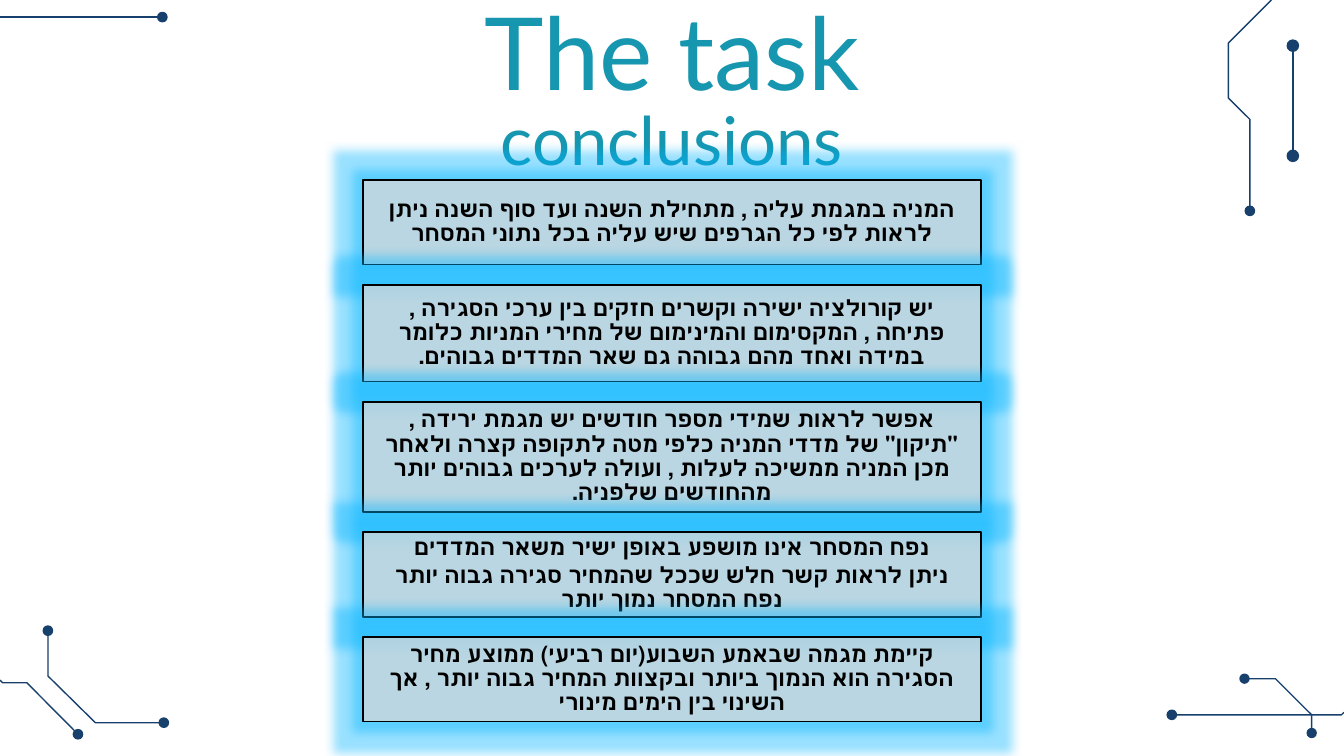
from dataclasses import dataclass
from lxml.etree import SubElement
from pptx import Presentation
from pptx.dml.color import RGBColor
from pptx.enum.shapes import MSO_CONNECTOR, MSO_SHAPE
from pptx.enum.text import MSO_ANCHOR, MSO_AUTO_SIZE, PP_ALIGN
from pptx.oxml.ns import qn
from pptx.util import Pt


@dataclass(frozen=True)
class Theme:
    font: str = "Lato"
    trace: str = "17406D"
    head: str = "1696AF"
    card: str = "D9D9D9"
    ink: str = "000000"
    glow: str = "00B4FF"
    big: float = 54
    mid: float = 36
    small: float = 12
    line: float = 0.75


def apply(item, form):
    for name, value in form.items():
        setattr(item, name, value)


def fade(tone, alpha):
    SubElement(tone, qn("a:alpha"), val=str(alpha * 1000))


class Board:
    def __init__(self, slide, theme):
        self.shapes = slide.shapes
        self.theme = theme

    def stroke(self, line, color):
        line.color.rgb = RGBColor.from_string(color)
        line.width = Pt(self.theme.line)

    def paint(self, shape, color):
        shape.shadow.inherit = False
        shape.fill.solid()
        shape.fill.fore_color.rgb = RGBColor.from_string(color)

    def letter(self, frame, lines, size, color, bold=False, form=None):
        apply(frame, {"word_wrap": True, "auto_size": MSO_AUTO_SIZE.NONE,
                      "vertical_anchor": MSO_ANCHOR.MIDDLE})
        for at, text in enumerate(lines):
            par = frame.add_paragraph() if at else frame.paragraphs[0]
            apply(par, {"alignment": PP_ALIGN.CENTER, **(form or {})})
            run = par.add_run()
            run.text = text
            apply(run.font, {"name": self.theme.font, "size": Pt(size), "bold": bold})
            run.font.color.rgb = RGBColor.from_string(color)

    def heading(self, shape, text, top, size):
        apply(shape, {"left": Pt(0), "top": Pt(top), "width": Pt(720), "height": Pt(45.4)})
        sides = ("left", "top", "right", "bottom")
        apply(shape.text_frame, {f"margin_{side}": Pt(7.2) for side in sides})
        self.letter(shape.text_frame, [text], size, self.theme.head)

    def title(self, text, top):
        self.heading(self.shapes.title, text, top, self.theme.big)

    def label(self, text, top):
        box = self.shapes.add_textbox(Pt(0), Pt(top), Pt(720), Pt(45.4))
        self.heading(box, text, top, self.theme.mid)

    def trace(self, points):
        spots = [(Pt(x), Pt(y)) for x, y in points]
        if len(spots) == 2:
            wire = self.shapes.add_connector(MSO_CONNECTOR.STRAIGHT, *spots[0], *spots[1])
            SubElement(wire._element.spPr, qn("a:effectLst"))
        else:
            route = self.shapes.build_freeform(*spots[0])
            route.add_line_segments(spots[1:], close=False)
            wire = route.convert_to_shape()
            wire.shadow.inherit = False
            wire.fill.background()
        self.stroke(wire.line, self.theme.trace)

    def dot(self, x, y, size):
        dot = self.shapes.add_shape(MSO_SHAPE.OVAL, Pt(x - size / 2), Pt(y - size / 2),
                                    Pt(size), Pt(size))
        self.paint(dot, self.theme.trace)
        self.stroke(dot.line, self.theme.trace)

    def card(self, lines, top, height):
        theme = self.theme
        card = self.shapes.add_shape(MSO_SHAPE.RECTANGLE, Pt(194.4), Pt(top), Pt(331.2), Pt(height))
        self.paint(card, theme.card)
        self.stroke(card.line, theme.ink)
        props = card._element.spPr
        fade(props.find(qn("a:solidFill")).find(qn("a:srgbClr")), 75)
        glow = SubElement(props.find(qn("a:effectLst")), qn("a:glow"), rad=str(int(Pt(11))))
        fade(SubElement(glow, qn("a:srgbClr"), val=theme.glow), 40)
        self.letter(card.text_frame, lines, theme.small, theme.ink, True,
                    {"level": 1, "line_spacing": 0.9, "space_after": Pt(1.8)})
        for par in card.text_frame.paragraphs:
            for name, value in {"marL": "0", "indent": "0", "rtl": "1"}.items():
                par._p.get_or_add_pPr().set(name, value)


TRACES = [
    ([(692.6, 83.5), (692.6, 24.5)], 2, 6),
    ([(669.6, 113), (669.6, 64), (658.1, 52.6), (658.1, 23), (681.1, 0)], 1, 5),
    ([(666.7, 363.6), (683.3, 363.6), (702.7, 383), (702.7, 392.7)], 2, 4.8),
    ([(627.8, 383), (718.6, 383), (720, 381.6)], 1, 5),
    ([(87, 9.2), (0, 9.2)], 1, 5),
    ([(41.8, 393.4), (14.4, 365.8), (1.4, 365.8), (0, 364.4)], 1, 5),
    ([(87.8, 387.2), (51.1, 387.2), (25.7, 362.2), (25.7, 337.9)], 2, 5),
]
CARDS = [
    (45.4, ["המניה במגמת עליה , מתחילת השנה ועד סוף השנה ניתן לראות לפי כל הגרפים שיש עליה בכל נתוני המסחר"]),
    (51.8, ["יש קורולציה ישירה וקשרים חזקים בין ערכי הסגירה , פתיחה , המקסימום והמינימום של מחירי המניות כלומר במידה ואחד מהם גבוהה גם שאר המדדים גבוהים."]),
    (59, ["אפשר לראות שמידי מספר חודשים יש מגמת ירידה , \"תיקון\" של מדדי המניה כלפי מטה לתקופה קצרה ולאחר מכן המניה ממשיכה לעלות , ועולה לערכים גבוהים יותר מהחודשים שלפניה."]),
    (45.4, ["נפח המסחר אינו מושפע באופן ישיר משאר המדדים",
            "ניתן לראות קשר חלש שככל שהמחיר סגירה גבוה יותר נפח המסחר נמוך יותר"]),
    (45.4, ["קיימת מגמה שבאמע השבוע(יום רביעי) ממוצע מחיר הסגירה הוא הנמוך ביותר ובקצוות המחיר גבוה יותר , אך השינוי בין הימים מינורי"]),
]
GAP = 10.8


def main():
    deck = Presentation()
    apply(deck, {"slide_width": Pt(720), "slide_height": Pt(405)})
    board = Board(deck.slides.add_slide(deck.slide_layouts[5]), Theme())
    for points, ends, size in TRACES:
        board.trace(points)
        for x, y in (points[0], points[-1])[:ends]:
            board.dot(x, y, size)
    board.label("conclusions", 51.8)
    board.title("The task", 4.3)
    top = 96.5
    for height, lines in CARDS:
        board.card(lines, top, height)
        top += height + GAP
    deck.save("out.pptx")


if __name__ == "__main__":
    main()
